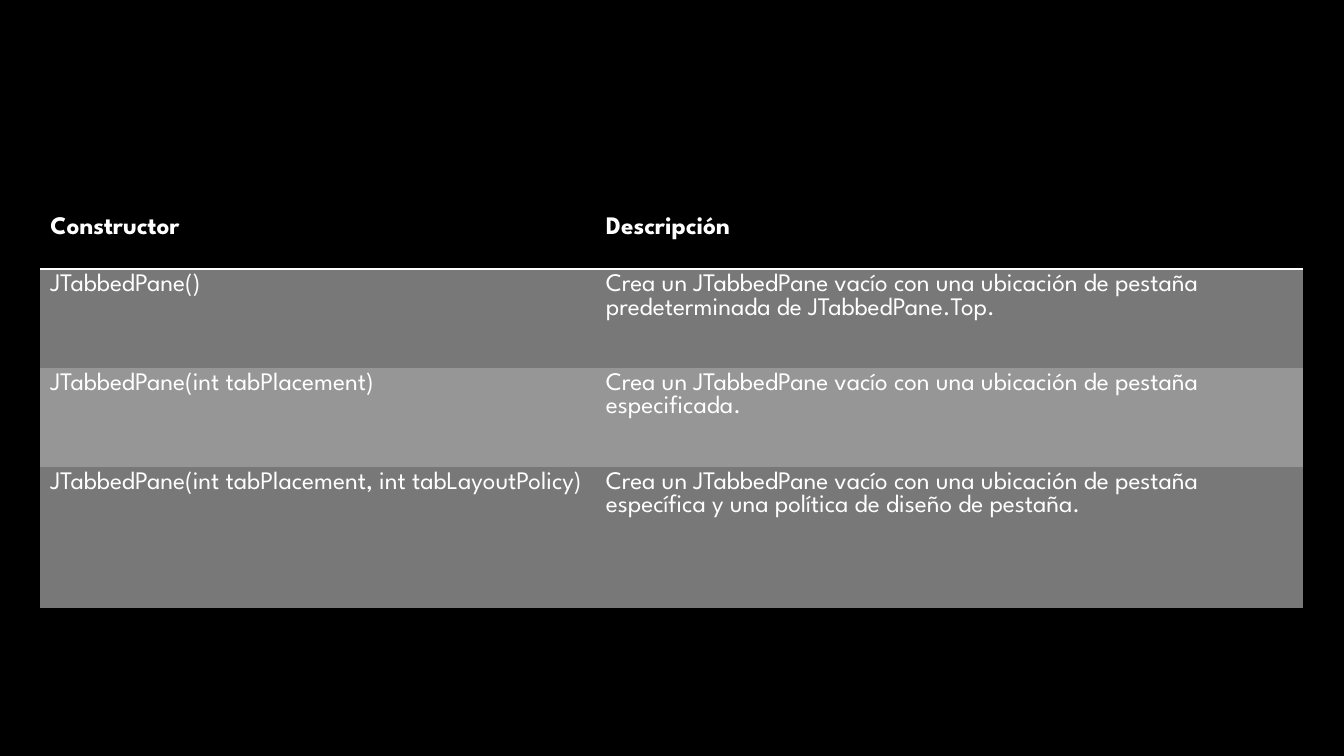
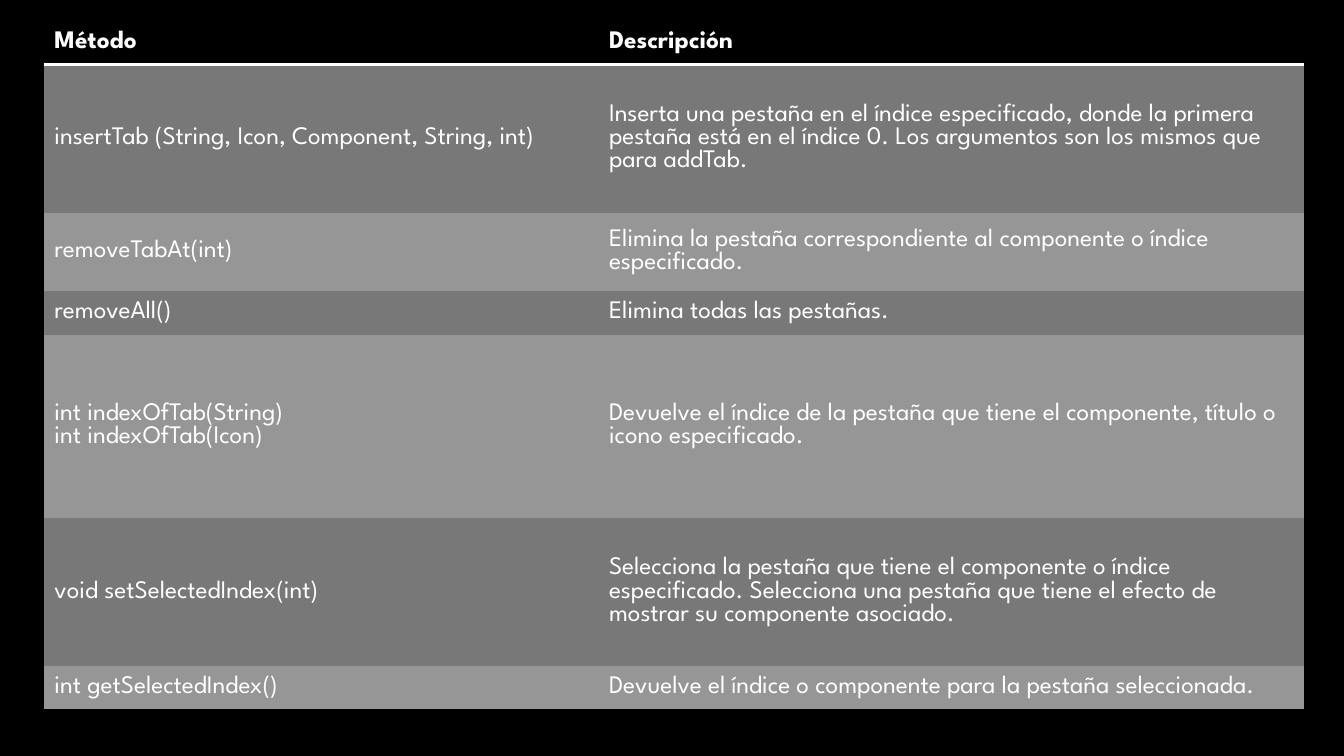
import dataclasses
import itertools

import lxml.etree
import pptx
import pptx.dml.color
import pptx.enum.text
import pptx.oxml.ns
import pptx.util

Inches = pptx.util.Inches
Anchor = pptx.enum.text.MSO_ANCHOR


@dataclasses.dataclass(frozen=True)
class Theme:
    """Colours, type and line sizes shared by the slides."""
    back: str = "000000"
    ink: str = "FFFFFF"
    bands: tuple = ("787878", "969696")
    font: str = "League Spartan"
    size: int = 18
    rule: int = 2
    style: str = "{2D5ABB26-0587-4C30-8999-92F81FD0307C}"


THEME = Theme()

BUILDERS = [
    ("Constructor", "Descripción"),
    ("JTabbedPane()",
     "Crea un JTabbedPane vacío con una ubicación de pestaña "
     "predeterminada de JTabbedPane.Top."),
    ("JTabbedPane(int tabPlacement)",
     "Crea un JTabbedPane vacío con una ubicación de pestaña especificada."),
    ("JTabbedPane(int tabPlacement, int tabLayoutPolicy)",
     "Crea un JTabbedPane vacío con una ubicación de pestaña específica "
     "y una política de diseño de pestaña."),
]

METHODS = [
    ("Método", "Descripción"),
    ("insertTab (String, Icon, Component, String, int)",
     "Inserta una pestaña en el índice especificado, donde la primera pestaña "
     "está en el índice 0. Los argumentos son los mismos que para addTab."),
    ("removeTabAt(int)",
     "Elimina la pestaña correspondiente al componente o índice especificado."),
    ("removeAll()", "Elimina todas las pestañas."),
    ("int indexOfTab(String)\nint indexOfTab(Icon)",
     "Devuelve el índice de la pestaña que tiene el componente, "
     "título o icono especificado."),
    ("void setSelectedIndex(int)",
     "Selecciona la pestaña que tiene el componente o índice especificado. "
     "Selecciona una pestaña que tiene el efecto de mostrar su componente "
     "asociado."),
    ("int getSelectedIndex()",
     "Devuelve el índice o componente para la pestaña seleccionada."),
]


def paint(fill, color):
    """Give a fill one solid colour."""
    fill.solid()
    fill.fore_color.rgb = pptx.dml.color.RGBColor.from_string(color)


def write(frame, text, bold):
    """Write each line of the text as a paragraph with one run."""
    for i, line in enumerate(text.split("\n")):
        para = frame.add_paragraph() if i else frame.paragraphs[0]
        run = para.add_run()
        run.text = line
        run.font.name = THEME.font
        run.font.size = pptx.util.Pt(THEME.size)
        run.font.bold = bold
        paint(run.font.fill, THEME.ink)


def underline(cell):
    """Draw the header rule along the bottom of a cell."""
    qn = pptx.oxml.ns.qn
    line = lxml.etree.Element(qn("a:lnB"), w=str(pptx.util.Pt(THEME.rule)))
    fill = lxml.etree.SubElement(line, qn("a:solidFill"))
    lxml.etree.SubElement(fill, qn("a:srgbClr"), val=THEME.ink)
    cell._tc.get_or_add_tcPr().insert(0, line)


def add_grid(slide, left, top, cols, rows, data, anchor):
    """Place a banded table with a ruled header at the given corner."""
    frame = slide.shapes.add_table(
        len(rows), len(cols), Inches(left), Inches(top),
        Inches(sum(cols)), Inches(sum(rows)))
    grid = frame.table
    grid._tbl.tblPr.find(pptx.oxml.ns.qn("a:tableStyleId")).text = THEME.style
    for col, width in zip(grid.columns, cols):
        col.width = Inches(width)
    fills = itertools.chain([THEME.back], itertools.cycle(THEME.bands))
    for i, (row, height, texts, color) in enumerate(
            zip(grid.rows, rows, data, fills)):
        row.height = Inches(height)
        for cell, text in zip(row.cells, texts):
            cell.vertical_anchor = anchor
            paint(cell.fill, color)
            write(cell.text_frame, text, i == 0)
            if i == 0:
                underline(cell)


def main():
    """Build and save the two slides."""
    deck = pptx.Presentation()
    deck.slide_width, deck.slide_height = Inches(13.33), Inches(7.5)
    paint(deck.slide_master.background.fill, THEME.back)
    blank = deck.slide_layouts[6]
    add_grid(deck.slides.add_slide(blank), 0.4, 2.1, (5.51, 7.01),
             (0.57, 0.98, 0.98, 1.4), BUILDERS, Anchor.TOP)
    add_grid(deck.slides.add_slide(blank), 0.44, 0.21, (5.5, 6.99),
             (0.43, 1.47, 0.78, 0.43, 1.82, 1.47, 0.43), METHODS,
             Anchor.MIDDLE)
    deck.save("out.pptx")


if __name__ == "__main__":
    main()
